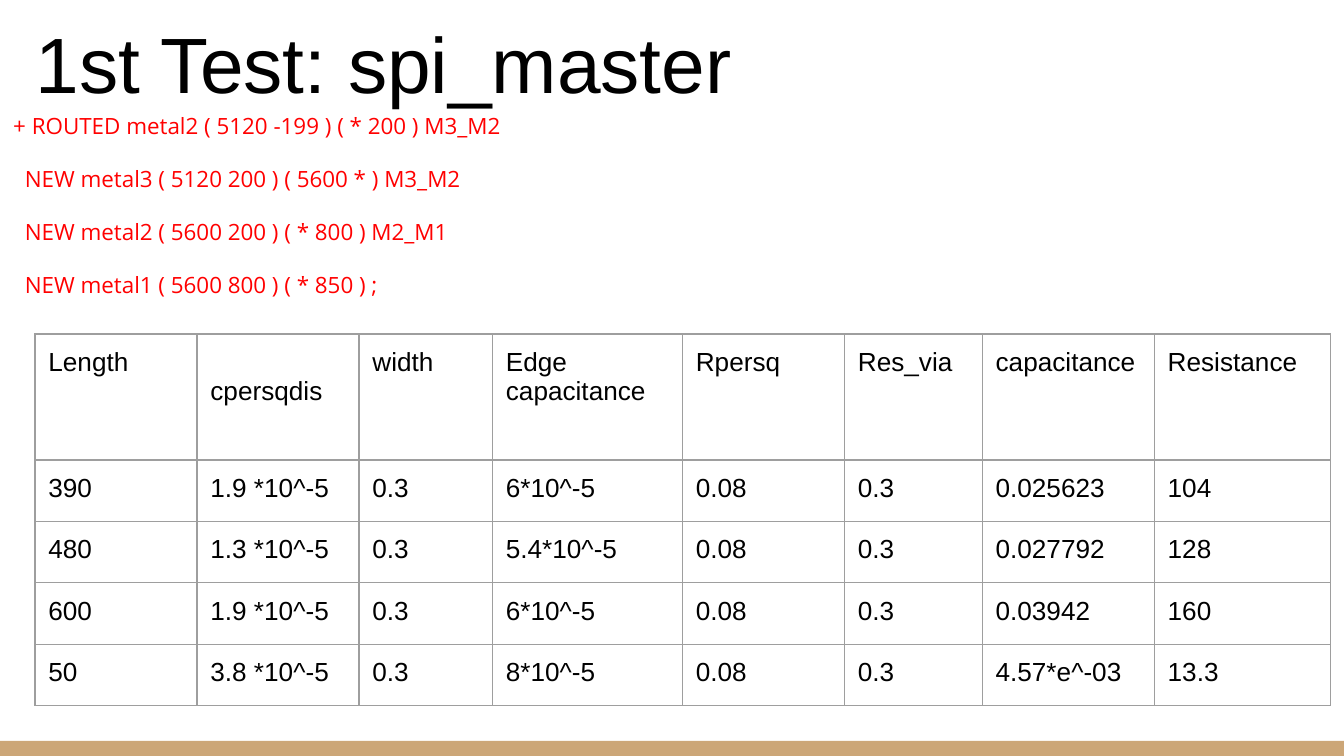
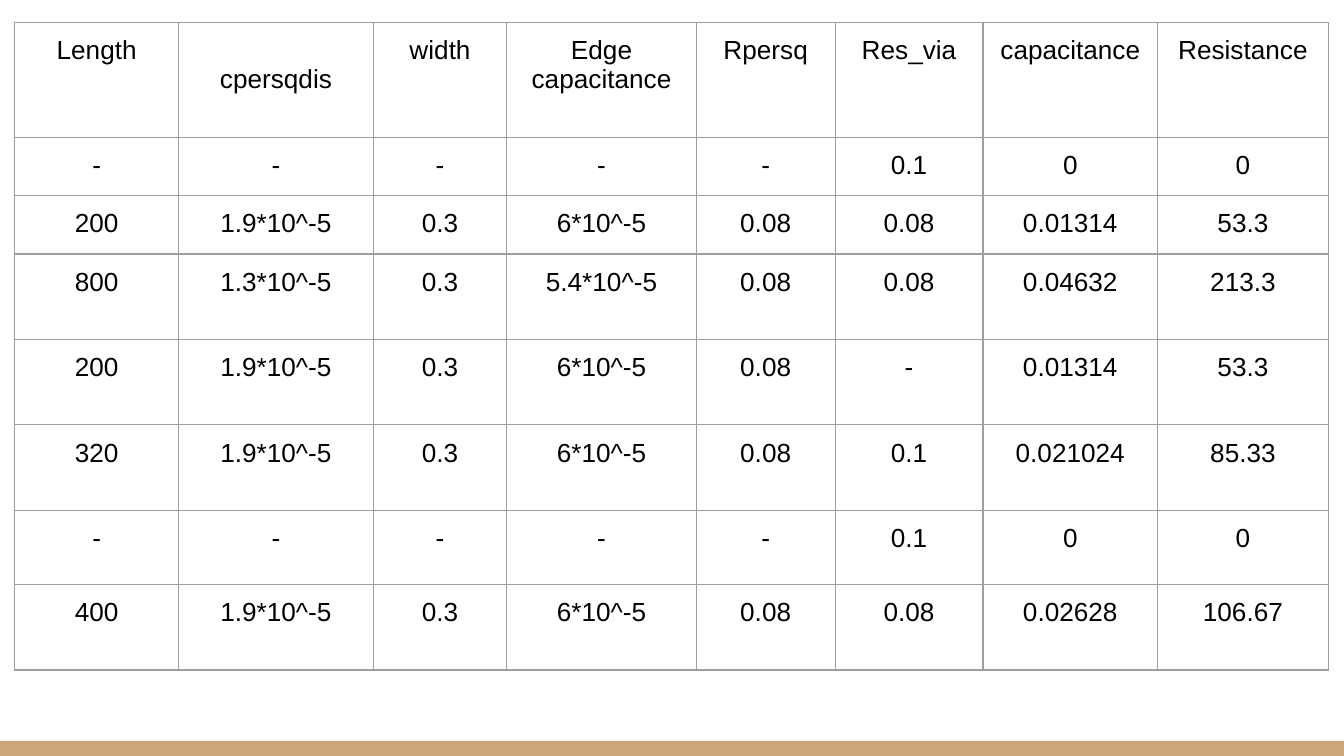
from dataclasses import dataclass

import lxml.etree
import pptx
import pptx.dml.color
import pptx.enum.shapes
import pptx.enum.text
import pptx.oxml.ns
import pptx.presentation
import pptx.slide
import pptx.table
import pptx.text.text
import pptx.util

Pt = pptx.util.Pt
ALIGN = pptx.enum.text.PP_ALIGN
ANCHOR = pptx.enum.text.MSO_ANCHOR

SLIDE_W, SLIDE_H = 720, 405
BAND_H = 8
INSET = 7.2
SANS, BODY_FONT = "Arial", "Open Sans"
BLACK, RED, TAN, GREY, WHITE = "000000", "FF0000", "CCA677", "9E9E9E", "FFFFFF"

HEADERS = ["Length", "cpersqdis", "width", "Edge capacitance",
           "Rpersq", "Res_via", "capacitance", "Resistance"]
TALL_HEADER = "cpersqdis"


@dataclass(frozen=True)
class TableSpec:
    left: float
    top: float
    widths: list[float]
    heights: list[float]
    rows: list[list[str]]
    align: ALIGN


ROUTE_TITLE = "1st Test: spi_master"
ROUTE_LINES = [
    "+ ROUTED metal2 ( 5120 -199 ) ( * 200 ) M3_M2",
    "NEW metal3 ( 5120 200 ) ( 5600 * ) M3_M2",
    "NEW metal2 ( 5600 200 ) ( * 800 ) M2_M1",
    "NEW metal1 ( 5600 800 ) ( * 850 ) ;",
]

ROUTE_TABLE = TableSpec(
    left=18.7, top=178.9,
    widths=[86.8, 86.8, 71.5, 101.8, 86.8, 73.8, 92.2, 94.3],
    heights=[67.6] + [32.9] * 4,
    rows=[
        ["390", "1.9 *10^-5", "0.3", "6*10^-5", "0.08", "0.3", "0.025623", "104"],
        ["480", "1.3 *10^-5", "0.3", "5.4*10^-5", "0.08", "0.3", "0.027792", "128"],
        ["600", "1.9 *10^-5", "0.3", "6*10^-5", "0.08", "0.3", "0.03942", "160"],
        ["50", "3.8 *10^-5", "0.3", "8*10^-5", "0.08", "0.3", "4.57*e^-03", "13.3"],
    ],
    align=ALIGN.LEFT,
)

VIA_ROW = ["-"] * 5 + ["0.1", "0", "0"]
SEGMENT_TABLE = TableSpec(
    left=7.8, top=12,
    widths=[88, 104.2, 71.6, 101.5, 74.4, 79.2, 93.6, 91.4],
    heights=[61.6, 31.2, 31.2, 45.8, 45.8, 45.8, 39.6, 46],
    rows=[
        VIA_ROW,
        ["200", "1.9*10^-5", "0.3", "6*10^-5", "0.08", "0.08", "0.01314", "53.3"],
        ["800", "1.3*10^-5", "0.3", "5.4*10^-5", "0.08", "0.08", "0.04632", "213.3"],
        ["200", "1.9*10^-5", "0.3", "6*10^-5", "0.08", "-", "0.01314", "53.3"],
        ["320", "1.9*10^-5", "0.3", "6*10^-5", "0.08", "0.1", "0.021024", "85.33"],
        VIA_ROW,
        ["400", "1.9*10^-5", "0.3", "6*10^-5", "0.08", "0.08", "0.02628", "106.67"],
    ],
    align=ALIGN.CENTER,
)


def rgb(value: str) -> pptx.dml.color.RGBColor:
    return pptx.dml.color.RGBColor.from_string(value)


def write(p: pptx.text.text._Paragraph, text: str, *, size: float = 14,
          font: str = SANS, color: str = BLACK, align: ALIGN = ALIGN.LEFT,
          spacing: float = 1, after: float = 0, indent: float = 0) -> None:
    p.alignment = align
    p.line_spacing = spacing
    p.space_before = Pt(0)
    p.space_after = Pt(after)
    p._p.get_or_add_pPr().set("marL", str(Pt(indent)))
    r = p.add_run()
    r.text = text
    r.font.size = Pt(size)
    r.font.name = font
    r.font.color.rgb = rgb(color)


def add_text_box(s: pptx.slide.Slide, left: float, top: float, width: float,
                 height: float, *, anchor: ANCHOR = ANCHOR.TOP,
                 inset_top: float = INSET) -> pptx.text.text.TextFrame:
    tf = s.shapes.add_textbox(Pt(left), Pt(top), Pt(width), Pt(height)).text_frame
    tf.word_wrap = True
    tf.vertical_anchor = anchor
    tf.margin_left = tf.margin_right = tf.margin_bottom = Pt(INSET)
    tf.margin_top = Pt(inset_top)
    return tf


def add_slide(prs: pptx.presentation.Presentation) -> pptx.slide.Slide:
    """Add a white slide with the tan band along its foot."""
    s = prs.slides.add_slide(prs.slide_layouts[6])
    s.background.fill.solid()
    s.background.fill.fore_color.rgb = rgb(WHITE)
    sp = s.shapes.add_shape(pptx.enum.shapes.MSO_SHAPE.RECTANGLE,
                            Pt(0), Pt(SLIDE_H - BAND_H), Pt(SLIDE_W), Pt(BAND_H))
    sp.shadow.inherit = False
    sp.fill.solid()
    sp.fill.fore_color.rgb = rgb(TAN)
    sp.line.fill.background()
    return s


def add_borders(cell: pptx.table._Cell) -> None:
    qn = pptx.oxml.ns.qn
    tc_pr = cell._tc.get_or_add_tcPr()
    for side in ("lnL", "lnR", "lnT", "lnB"):
        ln = lxml.etree.SubElement(tc_pr, qn(f"a:{side}"), w=str(Pt(0.75)))
        fill = lxml.etree.SubElement(ln, qn("a:solidFill"))
        lxml.etree.SubElement(fill, qn("a:srgbClr"), val=GREY)


def add_table(s: pptx.slide.Slide, spec: TableSpec) -> None:
    rows = [HEADERS, *spec.rows]
    table = s.shapes.add_table(
        len(rows), len(HEADERS), Pt(spec.left), Pt(spec.top),
        Pt(sum(spec.widths)), Pt(sum(spec.heights))).table
    table.first_row = table.horz_banding = False
    for column, width in zip(table.columns, spec.widths):
        column.width = Pt(width)
    for row, height, values in zip(table.rows, spec.heights, rows):
        row.height = Pt(height)
        for cell, value in zip(row.cells, values):
            cell.margin_left = cell.margin_right = Pt(INSET)
            cell.margin_top = cell.margin_bottom = Pt(INSET)
            add_borders(cell)
            cell.fill.background()
            tall = value == TALL_HEADER
            write(cell.text_frame.paragraphs[0], value, align=spec.align,
                  spacing=2 if tall else 1, after=16 if tall else 0)


def add_route_slide(prs: pptx.presentation.Presentation) -> None:
    s = add_slide(prs)
    title = add_text_box(s, 12.2, 8, 671, 57.6, anchor=ANCHOR.BOTTOM)
    write(title.paragraphs[0], ROUTE_TITLE, size=42)
    body = add_text_box(s, 0, 24, 671, 155.5, inset_top=36)
    for i, line in enumerate(ROUTE_LINES):
        p = body.add_paragraph() if i else body.paragraphs[0]
        write(p, line, size=12, font=BODY_FONT, color=RED, after=14,
              indent=6.2 if i else 0)
    add_table(s, ROUTE_TABLE)


def main() -> None:
    prs = pptx.Presentation()
    prs.slide_width, prs.slide_height = Pt(SLIDE_W), Pt(SLIDE_H)
    add_route_slide(prs)
    add_table(add_slide(prs), SEGMENT_TABLE)
    prs.save("out.pptx")


if __name__ == "__main__":
    main()
